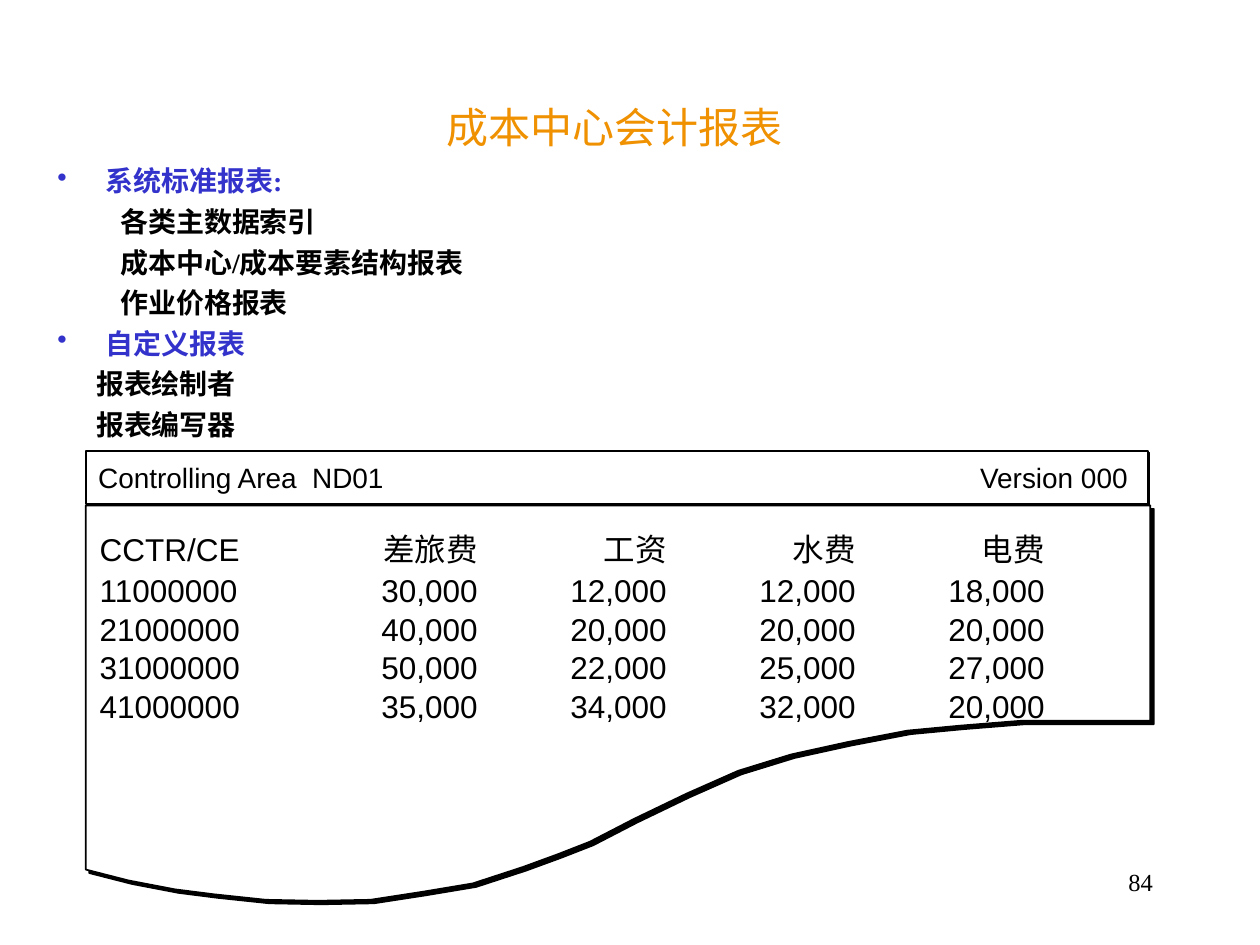
from lxml.etree import SubElement
from pptx import Presentation
from pptx.dml.color import RGBColor
from pptx.enum.shapes import MSO_SHAPE
from pptx.enum.text import MSO_ANCHOR, PP_ALIGN
from pptx.oxml.ns import qn
from pptx.util import Cm, Pt

COLORS = {"title": "EF9100", "head": "3333CC", "ink": "000000", "paper": "FFFFFF"}
CJK = "Noto Sans CJK SC"


def write(para, text, size, font, color="ink", bold=False):
    """Add one run with its Latin and East Asian fonts."""
    run = para.add_run()
    run.text = text
    run.font.size, run.font.name, run.font.bold = Pt(size), font, bold
    run.font.color.rgb = RGBColor.from_string(COLORS[color])
    SubElement(run.font._element, qn("a:ea"), typeface=CJK)


def add_tabs(para, stops, side):
    tabs = SubElement(para._p.get_or_add_pPr(), qn("a:tabLst"))
    for stop in stops:
        SubElement(tabs, qn("a:tab"), pos=str(stop), algn=side)


deck = Presentation()
deck.slide_width, deck.slide_height = Cm(25.4), Cm(19.05)
slide = deck.slides.add_slide(deck.slide_layouts[6])
shapes = slide.shapes

# Title
title = shapes.add_textbox(Cm(1.6), Cm(0.97), Cm(21.59), Cm(3.18)).text_frame
title.word_wrap = True
title.vertical_anchor = MSO_ANCHOR.MIDDLE
title.paragraphs[0].alignment = PP_ALIGN.CENTER
write(title.paragraphs[0], "成本中心会计报表", 24, CJK, "title")

# Report list: text, left margin, first-line indent, bullet
points = [
    ("系统标准报表:", 0.97, -0.97, True),
    ("各类主数据索引", 2.06, -0.79, False),
    ("成本中心/成本要素结构报表", 2.06, -0.79, False),
    ("作业价格报表", 2.06, -0.79, False),
    ("自定义报表", 0.97, -0.97, True),
    ("报表绘制者", 0.78, 0, False),
    ("报表编写器", 0.78, 0, False),
]
body = shapes.add_textbox(Cm(0.91), Cm(3.18), Cm(14.4), Cm(11.43)).text_frame
body.word_wrap = True
for i, (text, left, first, dot) in enumerate(points):
    para = body.add_paragraph() if i else body.paragraphs[0]
    if i:
        para.space_before = Pt(4)
    props = para._p.get_or_add_pPr()
    props.set("marL", str(Cm(left)))
    props.set("indent", str(Cm(first)))
    if dot:
        tint = SubElement(props, qn("a:buClr"))
        SubElement(tint, qn("a:srgbClr"), val=COLORS["head"])
        SubElement(props, qn("a:buChar"), char="•")
    else:
        SubElement(props, qn("a:buNone"))
    write(para, text, 16, "Times New Roman", "head" if dot else "ink", True)

# Report header and torn page, coordinates of the page in 0.01 cm
header = shapes.add_shape(MSO_SHAPE.RECTANGLE, Cm(1.73), Cm(9.09), Cm(21.41), Cm(1.07))
edge = [
    (173, 1019), (2319, 1019), (2319, 1453), (2060, 1453), (1935, 1463),
    (1829, 1473), (1709, 1496), (1595, 1521), (1488, 1554), (1384, 1600),
    (1278, 1651), (1189, 1697), (1125, 1722), (1054, 1748), (953, 1781),
    (851, 1798), (747, 1814), (640, 1816), (536, 1814), (432, 1803),
    (353, 1793), (259, 1775),
]
outline = shapes.build_freeform(173, 1753, scale=Cm(0.01))
outline.add_line_segments(edge, close=True)
page = outline.convert_to_shape()

for shape, dist in ((header, 1.4), (page, 2.8)):
    shape.fill.solid()
    shape.fill.fore_color.rgb = RGBColor.from_string(COLORS["paper"])
    shape.line.color.rgb = RGBColor.from_string(COLORS["ink"])
    shape.line.width = Pt(1)
    shape.shadow.inherit = False
    effects = shape._element.spPr.find(qn("a:effectLst"))
    shade = SubElement(effects, qn("a:outerShdw"), dist=str(Pt(dist)),
                       dir="2700000", algn="ctr", rotWithShape="0")
    SubElement(shade, qn("a:srgbClr"), val=COLORS["ink"])

frame = header.text_frame
frame.word_wrap = True
frame.vertical_anchor = MSO_ANCHOR.MIDDLE
para = frame.paragraphs[0]
para.alignment = PP_ALIGN.LEFT
add_tabs(para, [Cm(2.54 * n) for n in range(1, 8)], "l")
write(para, "Controlling Area  ND01\t\t\t\t\tVersion 000", 16, "Arial")

# Cost rows
rows = [
    ("CCTR/CE", "差旅费", "工资", "水费", "电费"),
    ("11000000", "30,000", "12,000", "12,000", "18,000"),
    ("21000000", "40,000", "20,000", "20,000", "20,000"),
    ("31000000", "50,000", "22,000", "25,000", "27,000"),
    ("41000000", "35,000", "34,000", "32,000", "20,000"),
]
costs = shapes.add_textbox(Cm(2.01), Cm(10.41), Cm(20.75), Cm(5.05)).text_frame
costs.word_wrap = True
costs.margin_left = costs.margin_right = 0
for i, row in enumerate(rows):
    para = costs.add_paragraph() if i else costs.paragraphs[0]
    para.line_spacing = 0.5 if i else 1.2
    if i:
        para.space_before = Pt(11.2)
    add_tabs(para, [Cm(7.62 + 3.81 * n) for n in range(4)], "r")
    write(para, "\t".join(row), 18, "Arial")

# Page number
number = shapes.add_textbox(Cm(18.21), Cm(17.35), Cm(5.28), Cm(1.27)).text_frame
number.word_wrap = True
number.paragraphs[0].alignment = PP_ALIGN.RIGHT
write(number.paragraphs[0], "84", 14, "Times New Roman")

deck.save("out.pptx")
